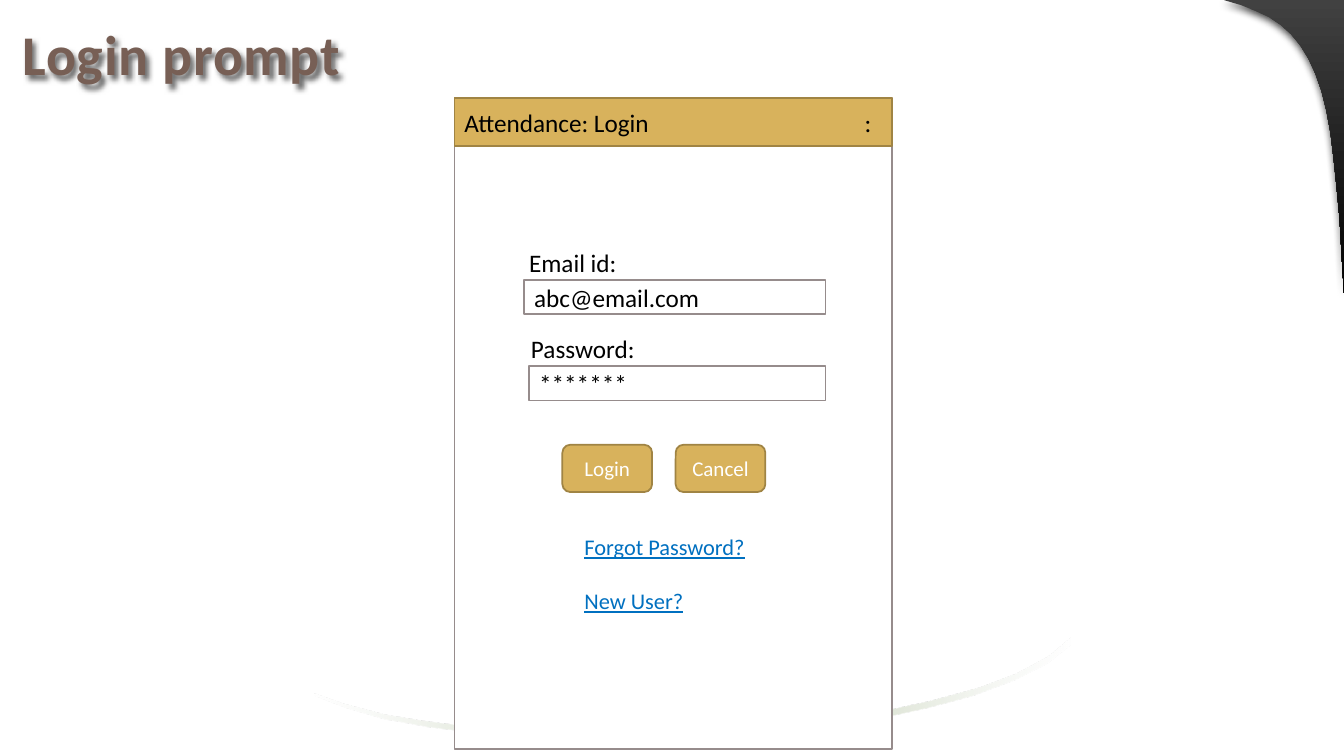
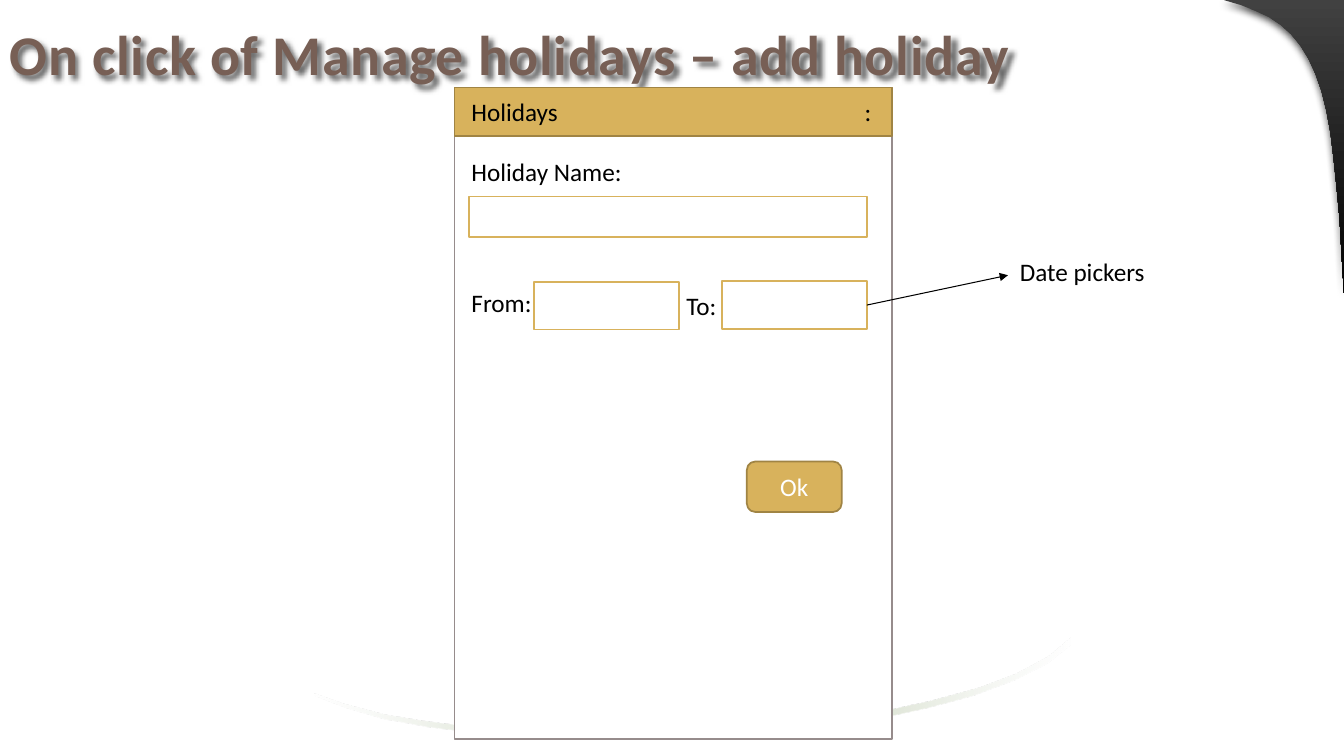
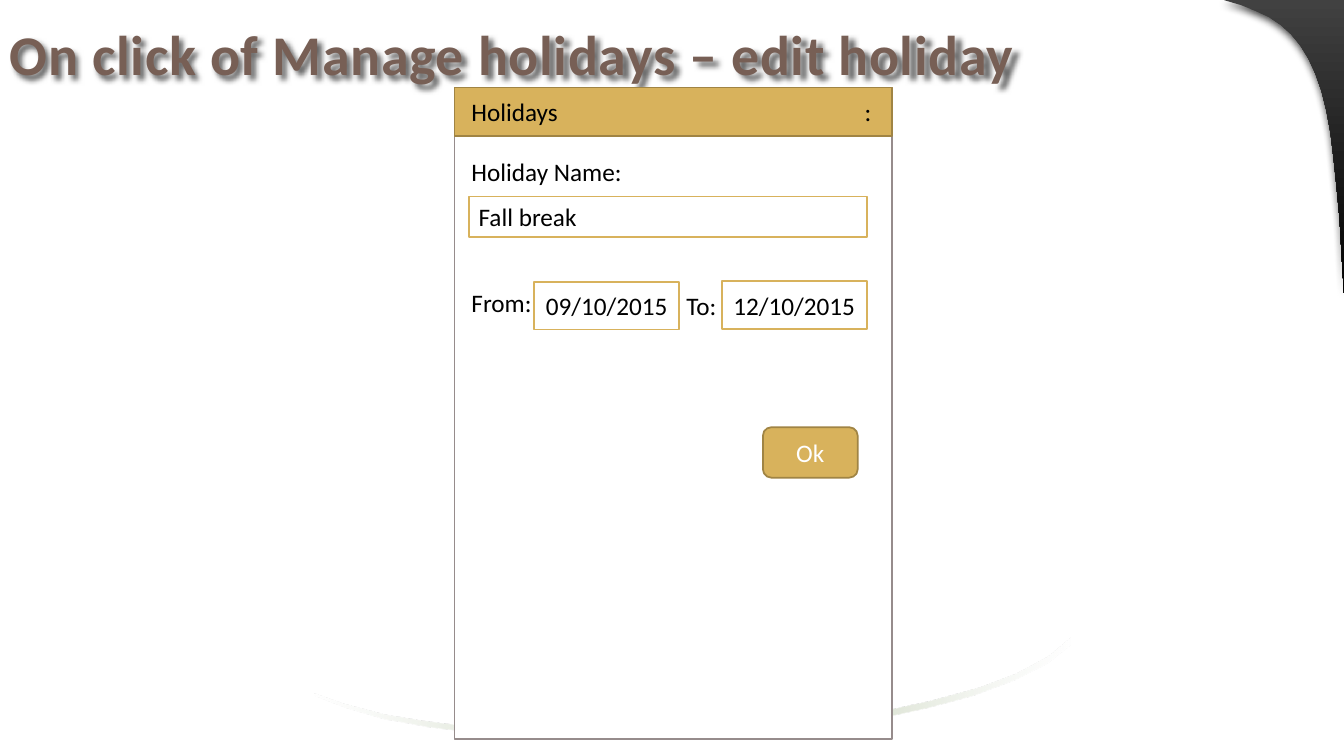
import pptx
import pptx.util
import pptx.dml.color
import pptx.enum.shapes
import pptx.enum.text
import pptx.oxml
import pptx.oxml.ns

Pt = pptx.util.Pt
RGBColor = pptx.dml.color.RGBColor
SHAPE = pptx.enum.shapes.MSO_SHAPE
ALIGN = pptx.enum.text.PP_ALIGN
ANCHOR = pptx.enum.text.MSO_ANCHOR
NS = pptx.oxml.ns.nsdecls("a")

# Colours
WHITE = RGBColor(0xFF, 0xFF, 0xFF)
BLACK = RGBColor(0, 0, 0)
BROWN = RGBColor(0x77, 0x5F, 0x55)
GREY = RGBColor(0x96, 0x8C, 0x8C)
GOLD = RGBColor(0xD8, 0xB2, 0x5C)
DARK_GOLD = RGBColor(0xA0, 0x84, 0x44)
LINK = RGBColor(0x00, 0x70, 0xC0)
SAGE = RGBColor(0x9C, 0xB0, 0x84)
CHARCOAL = RGBColor(0x41, 0x41, 0x41)

# Boxes: left, top, width, height
TITLE_BOX = (0, 0, 815, 76.3)
LOGIN_PHONE = (324.7, 69.8, 312.5, 465.1)
HOLIDAY_PHONE = (324.7, 62.6, 312.5, 465.1)
HEADER_H = 34.6
COLON_X = 293

# Outlines of the background, relative to their own corner
SWOOSH_AT = (224.6, 455.8)
SWOOSH = [
    (540, 0), (540, 5), (522.7, 18.7), (499.7, 30.2), (470.9, 41),
    (438.5, 49.7), (401.8, 57.6), (362.9, 63.4), (322.6, 67.7),
    (280.1, 70.6), (237.6, 72), (195.8, 72), (155.5, 70.6),
    (117.4, 67.7), (81.4, 63.4), (49.7, 57.6), (22.3, 49.7), (0, 41),
    (0, 39.6), (23, 47.5), (51.1, 54.7), (83.5, 59.8), (119.5, 64.1),
    (157.7, 67), (198.7, 67.7), (240.5, 67.7), (283, 66.2),
    (324.7, 62.6), (365.8, 58.3), (404.6, 52.6), (440.6, 44.6),
    (473, 36), (500.4, 25.9), (523.4, 13.7),
]
CORNER_AT = (874.1, 0)
CORNER = [
    (0, 0), (85.9, 0), (85.9, 209.5), (84.2, 181.4), (82.8, 156.2),
    (80.6, 133.2), (78.5, 113), (76.3, 95), (73.4, 79.2), (69.8, 64.8),
    (65.5, 52.6), (60.5, 41.8), (54.7, 32.4), (48.2, 24.5), (41, 18),
    (32.4, 12.2), (23, 7.9), (12.2, 3.6),
]


def inside(box, x, y, w, h):
    """Place a part relative to the corner of a box."""
    return box[0] + x, box[1] + y, w, h


def add_shadow(sp, blur, dist, angle, opacity):
    sp.shadow.inherit = False
    effects = sp._element.spPr.find(pptx.oxml.ns.qn("a:effectLst"))
    effects.append(pptx.oxml.parse_xml(
        f'<a:outerShdw {NS} blurRad="{Pt(blur)}" dist="{Pt(dist)}" '
        f'dir="{angle * 60000}" algn="ctr" rotWithShape="0">'
        f'<a:srgbClr val="000000"><a:alpha val="{opacity * 1000}"/>'
        '</a:srgbClr></a:outerShdw>'))


def write(sp, paragraphs, align=ALIGN.LEFT, inset=7.2, anchor=ANCHOR.MIDDLE,
          wrap=True, tab=None, gap=0, **font):
    tf = sp.text_frame
    frame = dict(word_wrap=wrap, vertical_anchor=anchor, margin_left=Pt(inset))
    for name, value in frame.items():
        setattr(tf, name, value)
    look = dict(name="Calibri", size=Pt(18)) | font
    color = look.pop("color", BLACK)
    for i, text in enumerate(paragraphs):
        p = tf.add_paragraph() if i else tf.paragraphs[0]
        p.alignment = align
        if i:
            p.space_before = Pt(gap)
        if tab:
            p._p.get_or_add_pPr().append(pptx.oxml.parse_xml(
                f'<a:tabLst {NS}><a:tab pos="{Pt(tab)}" algn="l"/></a:tabLst>'))
        r = p.add_run()
        r.text = text
        for name, value in look.items():
            setattr(r.font, name, value)
        r.font.color.rgb = color


def add_text(s, box, *paragraphs, **form):
    sp = s.shapes.add_textbox(*map(Pt, box))
    write(sp, paragraphs, **form)
    return sp


def add_box(s, box, text="", fill=WHITE, line=GREY, kind=SHAPE.RECTANGLE, **form):
    sp = s.shapes.add_shape(kind, *map(Pt, box))
    sp.shadow.inherit = False
    sp.fill.solid()
    sp.fill.fore_color.rgb = fill
    sp.line.color.rgb = line
    sp.line.width = Pt(1.25)
    if text:
        write(sp, [text], **form)
    return sp


def add_button(s, box, text, size=18):
    add_box(s, box, text, GOLD, DARK_GOLD, SHAPE.ROUNDED_RECTANGLE,
            align=ALIGN.CENTER, color=WHITE, size=Pt(size))


def add_outline(s, at, points, stops, angle):
    """Freeform with a gradient; stops are position, colour, opacity."""
    (x, y), *rest = [(Pt(at[0] + px), Pt(at[1] + py)) for px, py in points]
    builder = s.shapes.build_freeform(x, y)
    builder.add_line_segments(rest, close=True)
    sp = builder.convert_to_shape()
    sp.shadow.inherit = False
    sp.line.fill.background()
    sp.fill.background()
    spPr = sp._element.spPr
    gs = "".join(
        f'<a:gs pos="{pos * 1000}"><a:srgbClr val="{color}">'
        f'<a:alpha val="{opacity * 1000}"/></a:srgbClr></a:gs>'
        for pos, color, opacity in stops)
    spPr.replace(spPr.find(pptx.oxml.ns.qn("a:noFill")), pptx.oxml.parse_xml(
        f'<a:gradFill {NS} rotWithShape="1"><a:gsLst>{gs}</a:gsLst>'
        f'<a:lin ang="{angle * 60000}" scaled="0"/></a:gradFill>'))
    return sp


def new_slide(prs, title, inset=7.2):
    """Blank slide with the shared background and title."""
    s = prs.slides.add_slide(prs.slide_layouts[6])
    add_outline(s, SWOOSH_AT, SWOOSH,
                [(0, WHITE, 30), (50, SAGE, 100), (100, WHITE, 30)], 0)
    corner = add_outline(s, CORNER_AT, CORNER,
                         [(0, CHARCOAL, 100), (100, BLACK, 100)], 90)
    add_shadow(corner, 6, 3, 90, 75)
    sp = add_text(s, TITLE_BOX, title, inset=inset, size=Pt(40), bold=True, color=BROWN)
    sp.text_frame.paragraphs[0].runs[0]._r.get_or_add_rPr().set("spc", "50")
    add_shadow(sp, 4, 3, 45, 60)
    return s


def add_phone(s, box, heading, inset):
    add_box(s, box)
    add_box(s, inside(box, 0, 0, box[2], HEADER_H), f"{heading}\t:", GOLD, DARK_GOLD,
            inset=inset, tab=COLON_X - inset)


def login_form(s, box):
    add_phone(s, box, "Attendance: Login", 7.2)
    # Labelled fields
    rows = [("Email id:", 46.1, "abc@email.com", 49.7),
            ("Password:", 47.5, "*******", 53.3)]
    for i, (label, label_x, value, field_x) in enumerate(rows):
        y = 105.1 + i * 61.6
        add_text(s, inside(box, label_x, y, 154.8, 24.5), label)
        add_box(s, inside(box, field_x, y + 25.2, 265 - field_x, 24.5), value)
    # Buttons and links
    for i, text in enumerate(["Login", "Cancel"]):
        add_button(s, inside(box, 77 + i * 80.9, 247.9, 64.1, 33.8), text, 15)
    add_text(s, inside(box, 85.7, 307.5, 178.6, 66), "Forgot Password?", "New User?",
             anchor=ANCHOR.TOP, gap=19.5, size=Pt(16), underline=True, color=LINK)


def holiday_form(s, box, ok_at, name="", start="", end=""):
    """Draw the form and return the end date field."""
    add_phone(s, box, "Holidays", 12)
    labels = [("Holiday Name:", 5, 47.5, 154.8, 24.5),
              ("From:", 5, 133.9, 68.4, 38.9),
              ("To:", 158.4, 136.1, 68.4, 38.9)]
    for text, *place in labels:
        add_text(s, inside(box, *place), text)
    add_box(s, inside(box, 10.1, 77.8, 284.4, 28.8), name, line=GOLD)
    for text, x, y in [(start, 56.9, 139), (end, 190.8, 138.4)]:
        field = add_box(s, inside(box, x, y, 103.7, 33.8), text, line=GOLD,
                        align=ALIGN.CENTER)
    add_button(s, inside(box, *ok_at, 67.7, 36), "Ok")
    return field


def add_callout(s, field, box, text):
    """Label with an arrow from the right side of a field."""
    line = s.shapes.add_connector(pptx.enum.shapes.MSO_CONNECTOR.STRAIGHT,
                                  0, 0, Pt(box[0] - 1.4), Pt(box[1] + 17.3))
    line.begin_connect(field, 3)
    line.line.color.rgb = BLACK
    line.line.width = Pt(0.75)
    line.line._get_or_add_ln().append(
        pptx.oxml.parse_xml(f'<a:tailEnd {NS} type="triangle"/>'))
    line._element.spPr.append(pptx.oxml.parse_xml(f"<a:effectLst {NS}/>"))
    add_text(s, box, text, wrap=False, anchor=ANCHOR.TOP)


def main():
    prs = pptx.Presentation()
    prs.slide_width, prs.slide_height = Pt(960), Pt(540)

    s = new_slide(prs, "Login prompt", inset=16.2)
    login_form(s, LOGIN_PHONE)

    s = new_slide(prs, "On click of Manage holidays – add holiday")
    end_field = holiday_form(s, HOLIDAY_PHONE, (208.8, 267.1))
    add_callout(s, end_field, (721.4, 179.3, 104.4, 28.8), "Date pickers")

    s = new_slide(prs, "On click of Manage holidays – edit holiday")
    holiday_form(s, HOLIDAY_PHONE, (220.3, 242.6),
                 "Fall break", "09/10/2015", "12/10/2015")

    prs.save("out.pptx")


if __name__ == "__main__":
    main()
